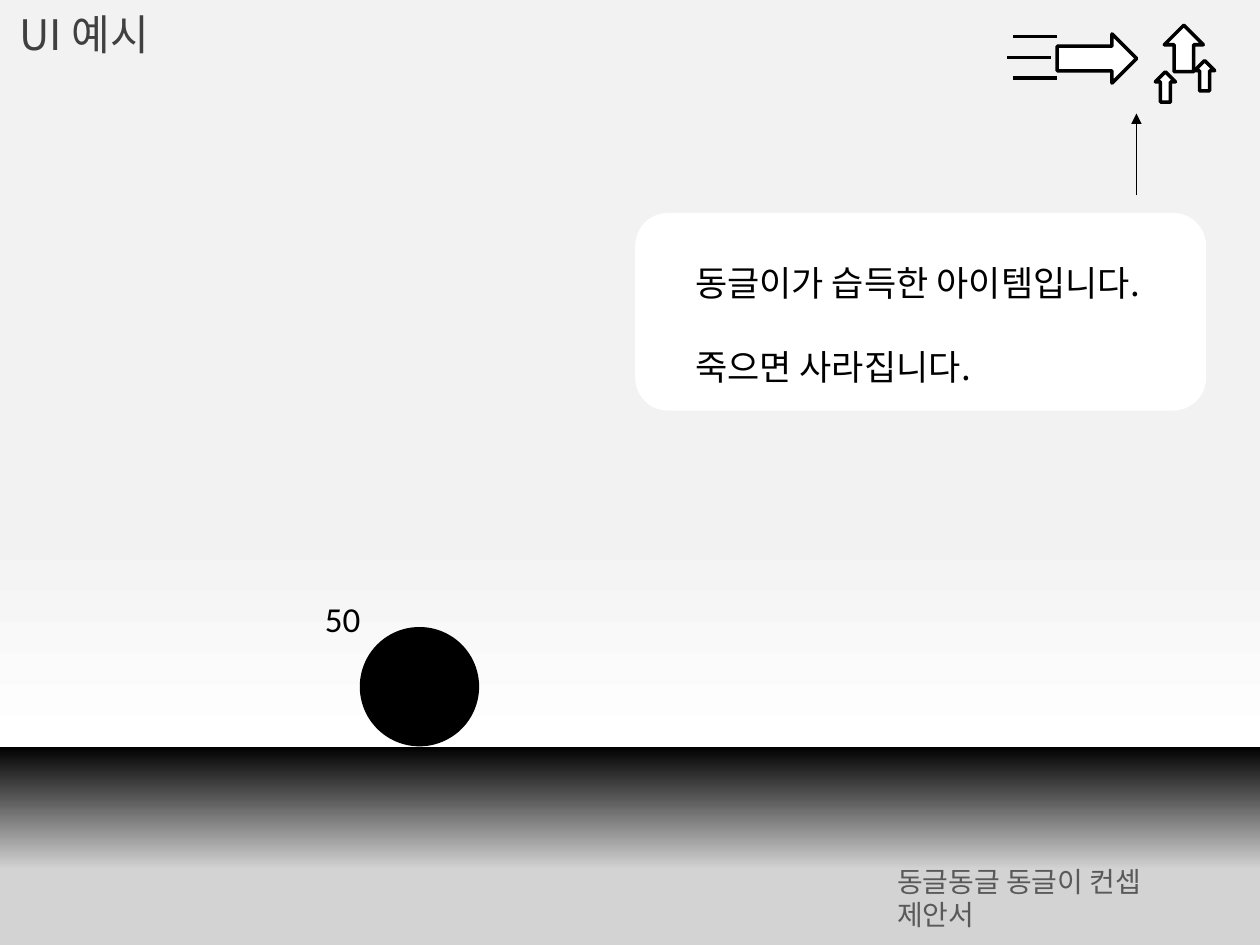
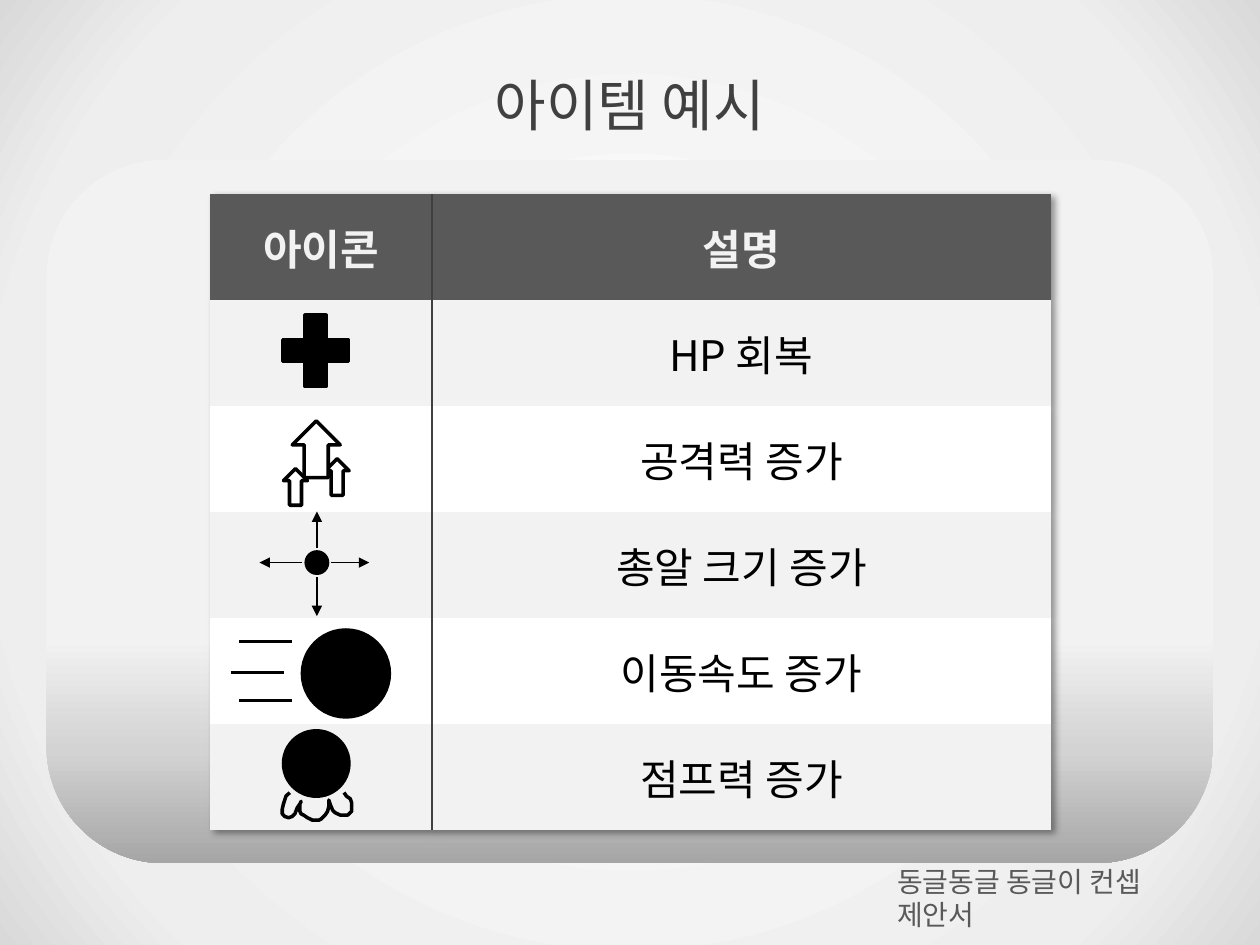
from lxml.etree import SubElement
from pptx import Presentation
from pptx.dml.color import RGBColor
from pptx.enum.shapes import MSO_CONNECTOR, MSO_SHAPE
from pptx.enum.text import MSO_ANCHOR, PP_ALIGN
from pptx.oxml import parse_xml
from pptx.oxml.ns import nsdecls, qn
from pptx.util import Pt

# Shared look
BLACK, WHITE, PALE, GRAY = "000000", "FFFFFF", "F2F2F2", "595959"
TITLE_COLOR, MIST = "404040", "D3D3D3"
FONT = "Noto Sans CJK KR"
OUTLINE, SPEED_WIDTH, POINTER_WIDTH = 2, 1.75, 0.75
FOOTER = "동글동글 동글이 컨셉 제안서"
FOOTER_BOX = (503.3, 502.6, 202.3, 20.9)
FOOTER_MARGINS = dict(margin_left=Pt(9.4), margin_right=Pt(9.4),
                      margin_top=Pt(5), margin_bottom=Pt(5))

# Game screen content
SCREEN_STOPS = [(56, PALE), (79, WHITE), (79, BLACK), (92, MIST)]
SCREEN_TITLE = ("UI 예시", (0, 1.4, 96.5, 36), 24)
NOTE_PANEL = (363, 121.7, 326.2, 113)
NOTE_BOX = (390.2, 121.7, 280, 97.2)
NOTE_LINES = ["동글이가 습득한 아이템입니다.", "죽으면 사라집니다."]
HEALTH_BOX = (178.6, 337.7, 39.6, 31.7)
HERO = (206.6, 359.3, 66.2, 66.2)
SPEED_ARROW = (604.1, 19.4, 45.4, 28.1)
SCREEN_SPEED = dict(left=575.3, indent=3.6, tops=(20.9, 33.1, 44.6), length=25.2)
SCREEN_POWER = [(660.2, 41, 11.5, 17.3), (665.3, 14.4, 22.3, 26.6),
                (682.6, 34.6, 11.5, 17.3)]
ITEM_POINTER = ((649.4, 111.6), (649.4, 64.8))

# Item list content
ITEM_STOPS = [(0, WHITE), (81, "EEEEEE"), (100, "D9D9D9")]
PANEL_STOPS = [(35, PALE), (68, PALE), (84, MIST), (100, "A6A6A6")]
ITEM_TITLE = ("아이템 예시", (263.5, 36.7, 193, 46.1), 32)
ITEM_PANEL = (26.6, 91.4, 666.7, 401.8)
HEADINGS = ("아이콘", "설명")
ITEMS = ["HP 회복", "공격력 증가", "총알 크기 증가", "이동속도 증가", "점프력 증가"]
TABLE_LEFT, TABLE_TOP = 120.2, 110.9
COLUMNS, ROW_HEIGHT = (126.7, 353.5), 60.6
HEAL_PLUS = (154.8, 172.8, 51.1, 55.4)
ITEM_POWER = [(162, 267.8, 13.7, 20.9), (185.8, 262.1, 13.7, 20.9),
              (167, 240.5, 27.4, 32.4)]
BULLET_CENTER, BULLET_SIZE, BULLET_GAP = (181.1, 321.5), 12.2, 8.3
BULLET_REACH = {(0, 1): 30.6, (1, 0): 29.9, (-1, 0): 32.8, (0, -1): 29.2}
ITEM_SPEED = dict(left=131.8, indent=5, tops=(366.5, 384.5, 400.3), length=30.2)
SPEED_BALL = (172.8, 360, 49.7, 49.7)
JUMP_BALL = (162, 417.6, 37.4, 37.4)
JUMP_DUST = [
    (165.6, 452.9), (163.4, 455), (162, 459.4), (161.3, 462.2), (161.3, 465.1),
    (162.7, 466.6), (164.9, 467.3), (167, 466.6), (168.5, 465.1), (169.9, 461.5),
    (171.4, 459.4), (172.1, 457.9), (171.4, 459.4), (171.4, 463.7), (172.1, 465.1),
    (173.5, 465.8), (175.7, 467.3), (178.6, 468.7), (182.2, 468.7), (183.6, 468),
    (185.8, 465.8), (187.2, 463.7), (187.9, 460.8), (187.9, 457.2), (188.6, 459.4),
    (190.1, 463), (191.5, 464.4), (194.4, 465.8), (198.7, 465.8), (200.9, 463.7),
    (200.9, 458.6), (200.2, 456.5), (198, 455), (196.6, 452.9)]


def rgb(color):
    return RGBColor.from_string(color)


def points(values):
    return [Pt(value) for value in values]


def set_all(target, values):
    for name, value in values.items():
        setattr(target, name, value)


def fill_gradient(fill, owner, stops, direction):
    """Swap a solid fill of the owner for a gradient."""
    fill.solid()
    solid = owner.find(".//" + qn("a:solidFill"))
    stop_xml = "".join(f'<a:gs pos="{position * 1000}"><a:srgbClr val="{color}"/></a:gs>'
                       for position, color in stops)
    solid.getparent().replace(solid, parse_xml(
        f'<a:gradFill {nsdecls("a")} rotWithShape="1"><a:gsLst>{stop_xml}</a:gsLst>'
        f'{direction}</a:gradFill>'))


DOWNWARD = '<a:lin ang="5400000" scaled="0"/>'
CIRCLE = ('<a:path path="circle"><a:fillToRect l="50000" t="50000" '
          'r="50000" b="50000"/></a:path>')


def set_line(shape, width):
    shape.line.color.rgb = rgb(BLACK)
    shape.line.width = Pt(width)


def add_shape(slide, kind, box, fill=BLACK, outlined=True, rotation=0):
    shape = slide.shapes.add_shape(kind, *points(box))
    shape.shadow.inherit = False
    shape.rotation = rotation
    shape.fill.solid()
    shape.fill.fore_color.rgb = rgb(fill)
    if outlined:
        set_line(shape, OUTLINE)
    else:
        shape.line.fill.background()
    return shape


def write(paragraph, text, size, color, font=FONT, bold=False, **layout):
    set_all(paragraph, layout)
    run = paragraph.add_run()
    run.text = text
    set_all(run.font, dict(name=font, size=Pt(size), bold=bold))
    run.font.color.rgb = rgb(color)
    SubElement(run.font._element, qn("a:ea")).set("typeface", font)


def add_text(slide, box, lines, size, color, font=FONT, frame_format=None, **layout):
    frame = slide.shapes.add_textbox(*points(box)).text_frame
    set_all(frame, {"word_wrap": True, **(frame_format or {})})
    for index, line in enumerate(lines):
        paragraph = frame.add_paragraph() if index else frame.paragraphs[0]
        write(paragraph, line, size, color, font, **layout)


def add_title(slide, text, box, size):
    add_text(slide, box, [text], size, TITLE_COLOR, alignment=PP_ALIGN.CENTER)


def add_footer(slide):
    add_text(slide, FOOTER_BOX, [FOOTER], 16, GRAY,
             frame_format=dict(vertical_anchor=MSO_ANCHOR.MIDDLE, **FOOTER_MARGINS))


def add_line(slide, start, end, width, arrow=False):
    line = slide.shapes.add_connector(MSO_CONNECTOR.STRAIGHT, *points(start + end))
    set_line(line, width)
    if arrow:
        SubElement(line.line._get_or_add_ln(), qn("a:tailEnd")).set("type", "triangle")
    SubElement(line._element.spPr, qn("a:effectLst"))


def add_speed_lines(slide, left, indent, tops, length):
    for index, top in enumerate(tops):
        start = left if index == 1 else left + indent
        add_line(slide, (start, top), (start + length, top), SPEED_WIDTH)


def add_power_arrows(slide, boxes):
    for box in boxes:
        add_shape(slide, MSO_SHAPE.DOWN_ARROW, box, WHITE, rotation=180)


def add_item_table(slide):
    rows = [HEADINGS] + [("", item) for item in ITEMS]
    frame = slide.shapes.add_table(len(rows), len(COLUMNS), *points(
        (TABLE_LEFT, TABLE_TOP, sum(COLUMNS), ROW_HEIGHT * len(rows))))
    table = frame.table
    set_all(table, dict(first_row=False, horz_banding=False))
    # Plain table style and a soft shadow
    properties = table._tbl.tblPr
    properties.find(qn("a:tableStyleId")).text = "{2D5ABB26-0587-4C30-8999-92F81FD0307C}"
    properties.insert(0, parse_xml(
        f'<a:effectLst {nsdecls("a")}><a:outerShdw blurRad="50800" dist="38100" '
        'dir="2700000" algn="tl"><a:srgbClr val="000000"><a:alpha val="40000"/>'
        '</a:srgbClr></a:outerShdw></a:effectLst>'))
    for column, width in zip(table.columns, COLUMNS):
        column.width = Pt(width)
    for row_index, texts in enumerate(rows):
        table.rows[row_index].height = Pt(ROW_HEIGHT)
        header = row_index == 0
        fill = GRAY if header else (WHITE, PALE)[row_index % 2]
        for column_index, text in enumerate(texts):
            cell = table.cell(row_index, column_index)
            cell.vertical_anchor = MSO_ANCHOR.MIDDLE
            if text:
                write(cell.text_frame.paragraphs[0], text, 24, PALE if header else BLACK,
                      bold=header, alignment=PP_ALIGN.CENTER)
            cell.fill.solid()
            cell.fill.fore_color.rgb = rgb(fill)
            side = ("lnR", "lnL")[column_index]
            cell._tc.tcPr.insert(0, parse_xml(
                f'<a:{side} {nsdecls("a")} w="12700"><a:solidFill>'
                f'<a:srgbClr val="{TITLE_COLOR}"/></a:solidFill></a:{side}>'))


def add_bullet_icon(slide):
    x, y = BULLET_CENTER
    for (dx, dy), reach in BULLET_REACH.items():
        add_line(slide, (x + dx * BULLET_GAP, y + dy * BULLET_GAP),
                 (x + dx * reach, y + dy * reach), POINTER_WIDTH, arrow=True)
    half = BULLET_SIZE / 2
    add_shape(slide, MSO_SHAPE.OVAL, (x - half, y - half, BULLET_SIZE, BULLET_SIZE))


def add_jump_icon(slide):
    add_shape(slide, MSO_SHAPE.OVAL, JUMP_BALL)
    dust = [tuple(points(point)) for point in JUMP_DUST]
    builder = slide.shapes.build_freeform(*dust[0])
    builder.add_line_segments(dust[1:], close=False)
    shape = builder.convert_to_shape()
    shape.shadow.inherit = False
    shape.fill.background()
    set_line(shape, OUTLINE)


def add_slide(presentation, stops, direction):
    slide = presentation.slides.add_slide(presentation.slide_layouts[6])
    fill_gradient(slide.background.fill, slide._element, stops, direction)
    return slide


def build_screen(presentation):
    slide = add_slide(presentation, SCREEN_STOPS, DOWNWARD)
    add_shape(slide, MSO_SHAPE.ROUNDED_RECTANGLE, NOTE_PANEL, WHITE, outlined=False)
    add_footer(slide)
    add_text(slide, NOTE_BOX, NOTE_LINES, 20, BLACK, line_spacing=2.0)
    add_title(slide, *SCREEN_TITLE)
    add_text(slide, HEALTH_BOX, ["50"], 20, BLACK, "Calibri")
    add_shape(slide, MSO_SHAPE.OVAL, HERO)
    add_shape(slide, MSO_SHAPE.RIGHT_ARROW, SPEED_ARROW, WHITE)
    add_speed_lines(slide, **SCREEN_SPEED)
    add_power_arrows(slide, SCREEN_POWER)
    add_line(slide, *ITEM_POINTER, POINTER_WIDTH, arrow=True)


def build_items(presentation):
    slide = add_slide(presentation, ITEM_STOPS, CIRCLE)
    panel = add_shape(slide, MSO_SHAPE.ROUNDED_RECTANGLE, ITEM_PANEL, outlined=False)
    fill_gradient(panel.fill, panel._element, PANEL_STOPS, DOWNWARD)
    add_title(slide, *ITEM_TITLE)
    add_footer(slide)
    add_item_table(slide)
    add_speed_lines(slide, **ITEM_SPEED)
    add_power_arrows(slide, ITEM_POWER)
    add_shape(slide, MSO_SHAPE.OVAL, SPEED_BALL)
    add_shape(slide, MSO_SHAPE.MATH_PLUS, HEAL_PLUS)
    add_bullet_icon(slide)
    add_jump_icon(slide)


def main():
    presentation = Presentation()
    set_all(presentation, dict(slide_width=Pt(720), slide_height=Pt(540)))
    build_screen(presentation)
    build_items(presentation)
    presentation.save("out.pptx")


if __name__ == "__main__":
    main()
